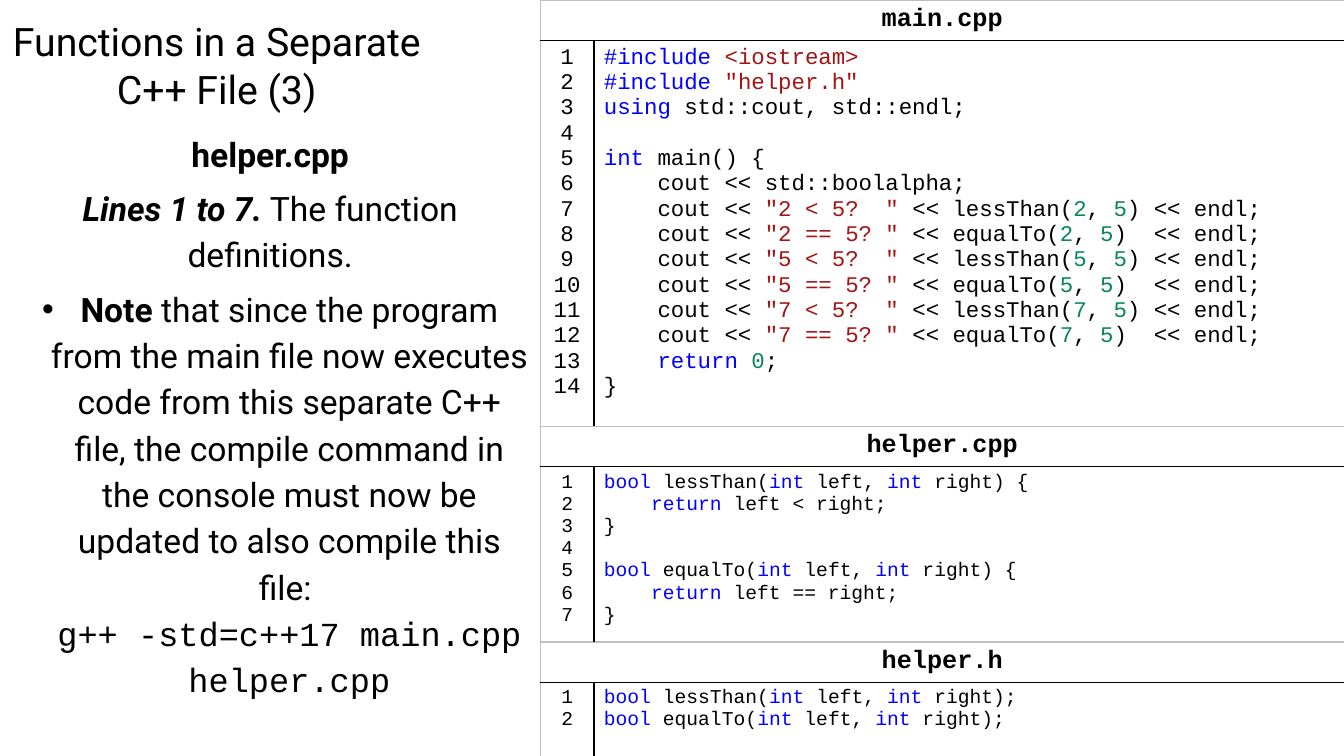
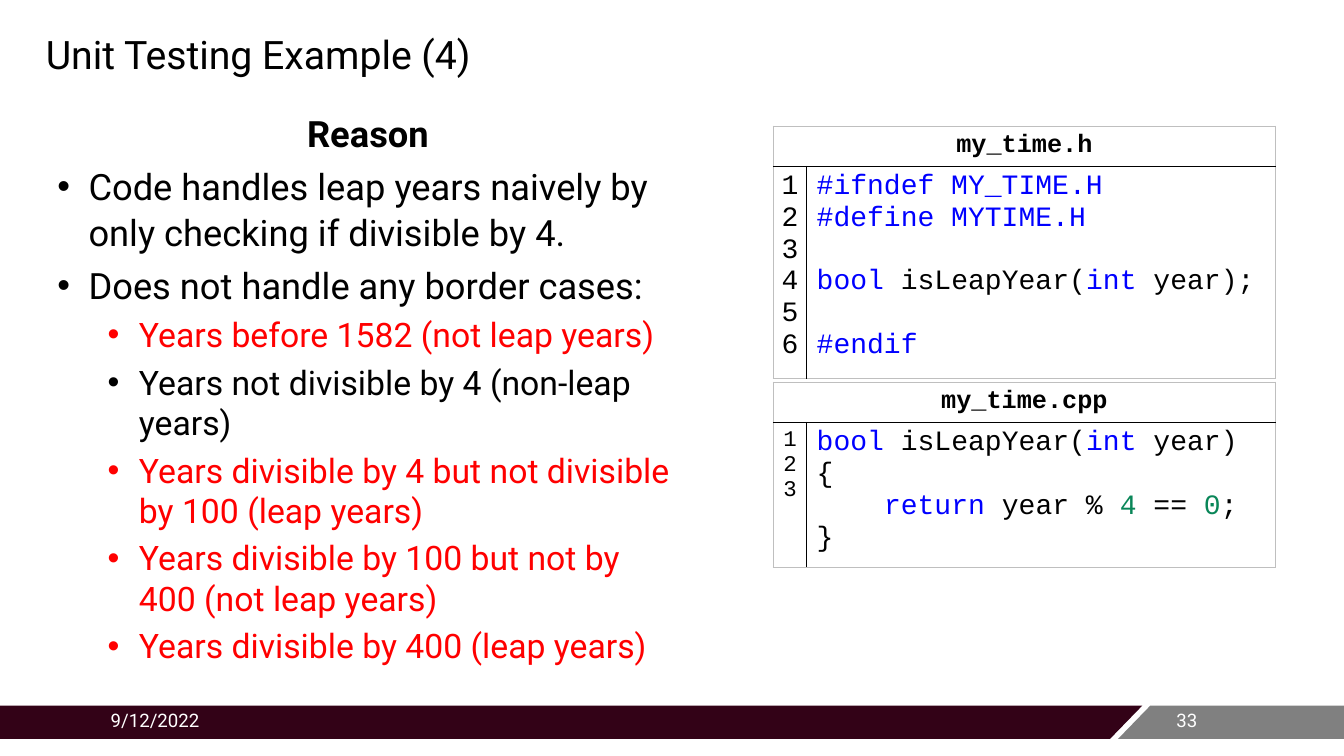
from itertools import groupby

from lxml import etree
from pptx import Presentation
from pptx.dml.color import RGBColor
from pptx.enum import text as t
from pptx.oxml import ns
from pptx.util import Inches, Pt

BLACK = RGBColor(0x00, 0x00, 0x00)
WHITE = RGBColor(0xFF, 0xFF, 0xFF)
BLUE = RGBColor(0x00, 0x00, 0xFF)
BRICK = RGBColor(0xA3, 0x15, 0x15)
GREEN = RGBColor(0x09, 0x86, 0x58)
RED = RGBColor(0xFF, 0x00, 0x00)
PLUM = RGBColor(0x33, 0x02, 0x17)
GRAY = RGBColor(0x80, 0x80, 0x80)
SILVER = RGBColor(0xBF, 0xBF, 0xBF)

SANS, MONO = "Roboto", "Courier New"
KEYWORDS = {"bool", "int", "return", "using"}
CENTER = t.PP_ALIGN.CENTER
HEAD = 0.38  # height of a code table's header row

MAIN_CPP = """\
#include <iostream>
#include "helper.h"
using std::cout, std::endl;

int main() {
    cout << std::boolalpha;
    cout << "2 < 5?  " << lessThan(2, 5) << endl;
    cout << "2 == 5? " << equalTo(2, 5)  << endl;
    cout << "5 < 5?  " << lessThan(5, 5) << endl;
    cout << "5 == 5? " << equalTo(5, 5)  << endl;
    cout << "7 < 5?  " << lessThan(7, 5) << endl;
    cout << "7 == 5? " << equalTo(7, 5)  << endl;
    return 0;
}"""

HELPER_CPP = """\
bool lessThan(int left, int right) {
    return left < right;
}

bool equalTo(int left, int right) {
    return left == right;
}"""

HELPER_H = """\
bool lessThan(int left, int right);
bool equalTo(int left, int right);"""

TIME_H = """\
#ifndef MY_TIME.H
#define MYTIME.H

bool isLeapYear(int year);

#endif"""

TIME_CPP = """\
bool isLeapYear(int year) {
    return year % 4 == 0;
}"""


def add_run(para, words, size, color=BLACK, font=SANS, bold=False, italic=False):
    run = para.add_run()
    run.text = words
    face = run.font
    face.name, face.size, face.bold, face.italic = font, Pt(size), bold, italic
    face.color.rgb = color


def add_box(slide, box, anchor=t.MSO_ANCHOR.TOP):
    frame = slide.shapes.add_textbox(*map(Inches, box)).text_frame
    frame.word_wrap = True
    frame.vertical_anchor = anchor
    return frame


def next_para(frame):
    """Return the first paragraph while it is empty, else a new one."""
    first = frame.paragraphs[0]
    return frame.add_paragraph() if first.runs else first


def add_title(slide, box, words):
    para = add_box(slide, box, t.MSO_ANCHOR.BOTTOM).paragraphs[0]
    para.alignment = CENTER
    add_run(para, words, 28)


def body_para(frame, align=None, lines=1.0, before=5.5):
    para = next_para(frame)
    para.alignment, para.line_spacing = align, lines
    para.space_before = Pt(before)
    return para


def add_bullet(para, left, hang):
    props = para._p.get_or_add_pPr()
    props.set("marL", str(Inches(left)))
    props.set("indent", str(-Inches(hang)))
    etree.SubElement(props, ns.qn("a:buFont"), typeface="Arial")
    etree.SubElement(props, ns.qn("a:buChar"), char="•")


def color_parts(line):
    """Yield the pieces of one line of C++ with their colours."""
    if line.startswith("#"):
        key, gap, name = line.partition(" ")
        yield key + gap, BLUE
        if name:
            yield name, BRICK if key == "#include" else BLUE
        return
    for n, chunk in enumerate(line.split('"')):
        if n % 2:
            yield f'"{chunk}"', BRICK
            continue
        for _, chars in groupby(chunk, str.isalnum):
            word = "".join(chars)
            if word in KEYWORDS:
                yield word, BLUE
            else:
                yield word, GREEN if word.isdigit() else BLACK


def add_code(para, line, size):
    for color, parts in groupby(color_parts(line or " "), lambda part: part[1]):
        add_run(para, "".join(part[0] for part in parts), size, color, MONO)


def set_edges(cell, **edges):
    """Draw the cell's L, R, T and B borders, each a (colour, points) pair."""
    props = cell._tc.get_or_add_tcPr()
    for n, side in enumerate(side for side in "LRTB" if side in edges):
        color, width = edges[side]
        line = etree.Element(ns.qn(f"a:ln{side}"), w=str(Pt(width)))
        fill = etree.SubElement(line, ns.qn("a:solidFill"))
        etree.SubElement(fill, ns.qn("a:srgbClr"), val=str(color))
        props.insert(n, line)


def code_table(slide, box, gutter, name, code, size, num_size=None, rule=1):
    """Place a listing: file name on top, line numbers left, code right."""
    left, top, width, height = box
    table = slide.shapes.add_table(2, 2, *map(Inches, box)).table
    table.first_row = table.horz_banding = False
    table.columns[0].width = Inches(gutter)
    table.columns[1].width = Inches(width - gutter)
    table.rows[0].height = Inches(HEAD)
    table.rows[1].height = Inches(height - HEAD)
    for cell in table.iter_cells():
        cell.fill.solid()
        cell.fill.fore_color.rgb = WHITE

    rim, bar, split = (SILVER, 0.75), (BLACK, 1), (BLACK, rule)
    head, tail = table.cell(0, 0), table.cell(0, 1)
    nums, body = table.cell(1, 0), table.cell(1, 1)
    head.merge(tail)
    set_edges(head, L=rim, R=rim, T=rim, B=bar)
    set_edges(tail, R=rim, T=rim, B=bar)
    set_edges(nums, L=rim, R=split, T=bar, B=rim)
    set_edges(body, L=split, R=rim, T=bar, B=rim)

    para = head.text_frame.paragraphs[0]
    para.alignment = CENTER
    add_run(para, name, 18, font=MONO, bold=True)
    nums.margin_left = nums.margin_right = Inches(0.05)
    for n, line in enumerate(code.splitlines(), 1):
        para = next_para(nums.text_frame)
        para.alignment = CENTER
        add_run(para, str(n), num_size or size, font=MONO)
        add_code(next_para(body.text_frame), line, size)


def add_band(slide, points, color):
    """Fill a polygon whose points are in hundredths of an inch."""
    pen = slide.shapes.build_freeform(*points[0], scale=Inches(0.01))
    pen.add_line_segments(points[1:], close=True)
    band = pen.convert_to_shape()
    band.shadow.inherit = False
    band.fill.solid()
    band.fill.fore_color.rgb = color
    band.line.fill.background()


def add_footer(slide, date, number):
    top, low = 700, 733
    add_band(slide, [(-1, top), (1133, top), (1101, low), (-2, low)], PLUM)
    add_band(slide, [(1141, top), (1335, top), (1335, low), (1109, low)], GRAY)
    for left, width, words in ((11.57, 0.77, number), (1, 7.5, date)):
        frame = add_box(slide, (left, 6.98, width, 0.4))
        add_run(frame.paragraphs[0], words, 13.3, WHITE)


def helper_notes(slide, box):
    frame, size = add_box(slide, box), 24
    para = body_para(frame, CENTER, 1.15)
    add_run(para, "helper.cpp", size, bold=True)

    para = body_para(frame, CENTER, 1.15)
    add_run(para, "Lines 1 to 7.", size, bold=True, italic=True)
    add_run(para, " The function definitions.", size)

    para = body_para(frame, CENTER, 1.15)
    add_bullet(para, 0.38, 0.38)
    add_run(para, "Note", size, bold=True)
    add_run(para, " that since the program from the main file now executes "
            "code from this separate C++ file, the compile command in the "
            "console must now be updated to also compile this file: ", size)
    para.add_line_break()
    add_run(para, "g++ -std=c++17 main.cpp helper.cpp", size, font=MONO)


def reason_notes(slide, box):
    frame, size = add_box(slide, box), 25.9
    add_run(body_para(frame, CENTER, 1.05), "Reason", size, bold=True)
    for words in (
        "Code handles leap years naively by only checking if divisible by 4.",
        "Does not handle any border cases:",
    ):
        para = body_para(frame, lines=1.05)
        add_bullet(para, 0.31, 0.31)
        add_run(para, words, size)
    for words, color in (
        ("Years before 1582 (not leap years)", RED),
        ("Years not divisible by 4 (non-leap years)", BLACK),
        ("Years divisible by 4 but not divisible by 100 (leap years)", RED),
        ("Years divisible by 100 but not by 400 (not leap years)", RED),
        ("Years divisible by 400 (leap years)", RED),
    ):
        para = body_para(frame, before=5)
        para.level = 1
        add_bullet(para, 0.81, 0.31)
        add_run(para, words, 24.1, color)


def separate_file(slide):
    add_title(slide, (0, 0, 4.3, 1.16), "Functions in a Separate C++ File (3)")
    helper_notes(slide, (0, 1.22, 5.36, 5.39))
    for top, height, name, code, size in (
        (0, 4.02, "main.cpp", MAIN_CPP, 16),
        (4.23, 2.04, "helper.cpp", HELPER_CPP, 14),
        (6.37, 1.12, "helper.h", HELPER_H, 14),
    ):
        code_table(slide, (5.36, top, 7.97, height), 0.53, name, code, size,
                   rule=1.5)


def unit_testing(slide):
    add_footer(slide, "9/12/2022", "33")
    for top, height, name, code, num_size in (
        (1.25, 2.37, "my_time.h", TIME_H, 20),
        (3.79, 1.74, "my_time.cpp", TIME_CPP, 16),
    ):
        code_table(slide, (7.67, top, 4.98, height), 0.33, name, code, 20,
                   num_size)
    add_title(slide, (0.12, 0, 4.88, 0.82), "Unit Testing Example (4)")
    reason_notes(slide, (0.47, 1.03, 6.36, 5.48))


def main():
    deck = Presentation()
    deck.slide_width, deck.slide_height = Inches(13.33), Inches(7.5)
    for fill_slide in (separate_file, unit_testing):
        fill_slide(deck.slides.add_slide(deck.slide_layouts[6]))
    deck.save("out.pptx")


if __name__ == "__main__":
    main()
